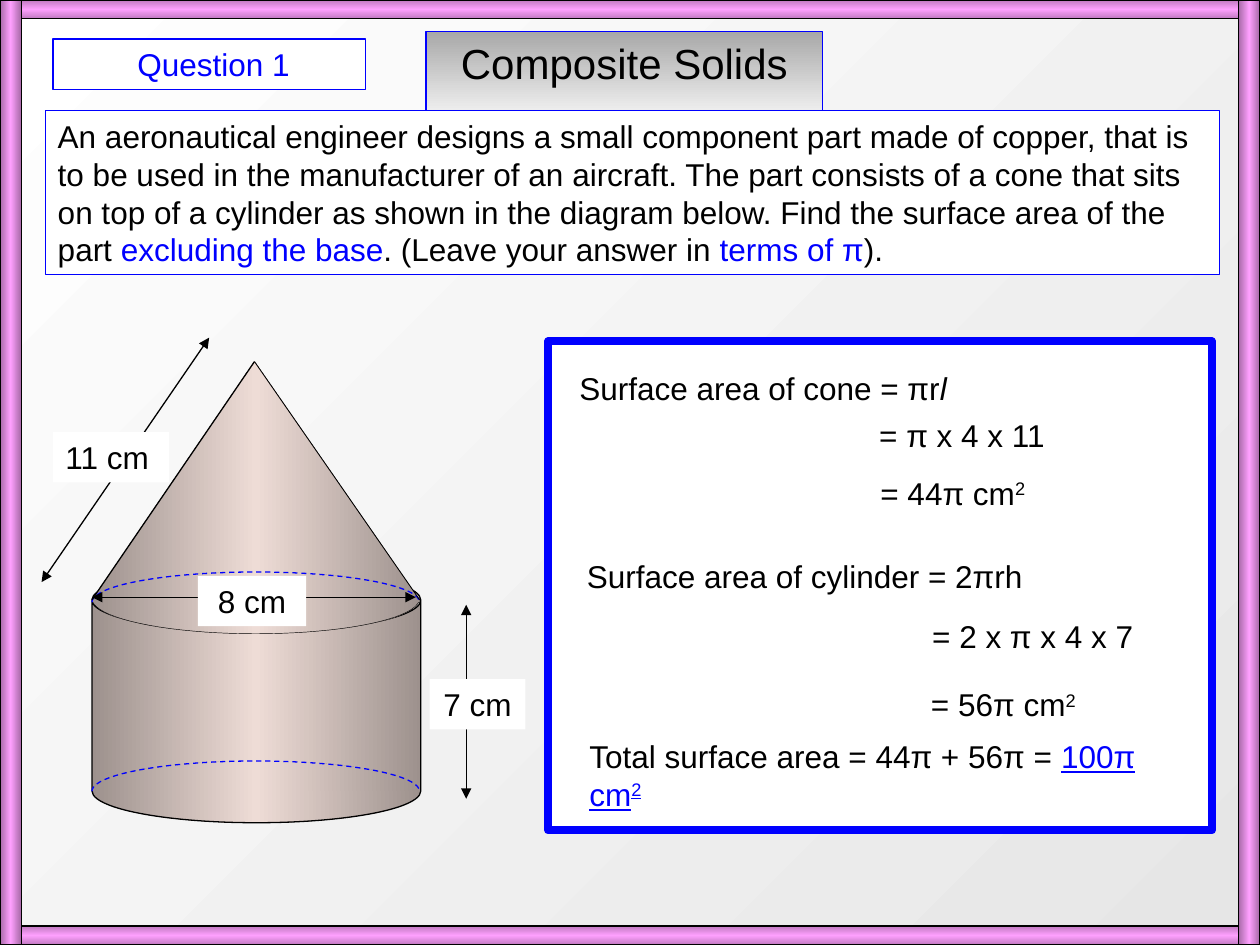
from dataclasses import dataclass
from math import cos, pi, sin
from typing import Optional

from lxml import etree
from pptx import Presentation
from pptx.dml.color import RGBColor
from pptx.enum import dml, shapes, text
from pptx.oxml.ns import qn
from pptx.util import Inches, Pt


@dataclass(frozen=True)
class Theme:
    font: str = "Arial"
    title_size: float = 24
    body_size: float = 18
    black: str = "000000"
    white: str = "FFFFFF"
    blue: str = "0000FF"
    silver: tuple = ("A8A8A8", "FFFFFF", "A8A8A8")
    copper: tuple = ("9D918D", "EEDCD6", "9D918D")
    rail: tuple = ("C079C0", "FEA0FE", "C079C0")
    post: tuple = ("A769A7", "FEA0FE", "A769A7")
    backdrop: tuple = ("E6E6E6", "FFFFFF")


THEME = Theme()


@dataclass(frozen=True)
class Words:
    content: str
    color: str = THEME.black
    italic: bool = False
    underline: bool = False
    raised: bool = False


@dataclass(frozen=True)
class Box:
    left: float
    top: float
    width: float
    height: float = 0.4
    words: tuple = ()
    fill: Optional[str] = None
    line: Optional[str] = None
    weight: float = 0.75
    centred: bool = False


@dataclass(frozen=True)
class Bar:
    left: float
    top: float
    width: float
    height: float
    colors: tuple
    angle: int


@dataclass(frozen=True)
class Dimension:
    start: tuple
    end: tuple
    label: Box


def set_gradient(fill, element, colors: tuple, angle: int) -> None:
    fill.gradient()
    fill.gradient_angle = (360 - angle) % 360
    stops = next(element.iter(qn("a:gsLst")))
    for stop in list(stops):
        stops.remove(stop)
    for index, color in enumerate(colors):
        position = str(100000 * index // (len(colors) - 1))
        stop = etree.SubElement(stops, qn("a:gs"), pos=position)
        etree.SubElement(stop, qn("a:srgbClr"), val=color)


def set_line(line, color: Optional[str], weight: float = 0.75) -> None:
    if color is None:
        line.fill.background()
    else:
        line.color.rgb = RGBColor.from_string(color)
        line.width = Pt(weight)


def write(shape, words: tuple, size: float, centred: bool) -> None:
    frame = shape.text_frame
    frame.word_wrap = True
    frame.auto_size = text.MSO_AUTO_SIZE.SHAPE_TO_FIT_TEXT
    frame.vertical_anchor = text.MSO_ANCHOR.TOP
    frame.margin_left = frame.margin_right = Inches(0.1)
    frame.margin_top = frame.margin_bottom = Inches(0.05)
    paragraph = frame.paragraphs[0]
    paragraph.alignment = text.PP_ALIGN.CENTER if centred else text.PP_ALIGN.LEFT
    for part in words:
        run = paragraph.add_run()
        run.text = part.content
        run.font.name = THEME.font
        run.font.size = Pt(size)
        run.font.color.rgb = RGBColor.from_string(part.color)
        if part.italic:
            run.font.italic = True
        if part.underline:
            run.font.underline = True
        if part.raised:
            run.font._element.set("baseline", "30000")


def draw_box(slide, box: Box) -> None:
    place = [Inches(n) for n in (box.left, box.top, box.width, box.height)]
    if box.fill is None:
        shape = slide.shapes.add_textbox(*place)
    else:
        shape = slide.shapes.add_shape(shapes.MSO_SHAPE.RECTANGLE, *place)
        shape.shadow.inherit = False
        shape.fill.solid()
        shape.fill.fore_color.rgb = RGBColor.from_string(box.fill)
        set_line(shape.line, box.line, box.weight)
    if box.words:
        write(shape, box.words, THEME.body_size, box.centred)


def draw_bar(slide, bar: Bar) -> None:
    place = [Inches(n) for n in (bar.left, bar.top, bar.width, bar.height)]
    shape = slide.shapes.add_shape(shapes.MSO_SHAPE.RECTANGLE, *place)
    shape.shadow.inherit = False
    set_gradient(shape.fill, shape.element, bar.colors, bar.angle)
    set_line(shape.line, THEME.black)


def draw_line(parent, start: tuple, end: tuple, weight: float = 0.75, arrows: bool = False) -> None:
    ends = [Inches(n) for n in (*start, *end)]
    connector = parent.shapes.add_connector(shapes.MSO_CONNECTOR.STRAIGHT, *ends)
    set_line(connector.line, THEME.black, weight)
    properties = connector.element.spPr
    if arrows:
        outline = properties.find(qn("a:ln"))
        for tag in ("a:headEnd", "a:tailEnd"):
            etree.SubElement(outline, qn(tag), type="triangle")
    etree.SubElement(properties, qn("a:effectLst"))


def draw_outline(group, points: list, closed: bool, color: Optional[str] = None,
                 weight: float = 0.75, dashed: bool = False) -> None:
    corners = [(Inches(x), Inches(y)) for x, y in points]
    builder = group.shapes.build_freeform(*corners[0])
    builder.add_line_segments(corners[1:], close=closed)
    shape = builder.convert_to_shape()
    shape.shadow.inherit = False
    set_gradient(shape.fill, shape.element, THEME.copper, 180)
    set_line(shape.line, color, weight)
    if dashed:
        shape.line.dash_style = dml.MSO_LINE.DASH


def half_ellipse(center_y: float, depth: float) -> list:
    steps = 40
    return [(2.03 - 1.3 * cos(pi * n / steps), center_y + depth * sin(pi * n / steps))
            for n in range(steps + 1)]


def draw_solid(slide) -> None:
    group = slide.shapes.add_group_shape()
    place = [Inches(n) for n in (0.73, 4.51, 2.61, 2.02)]
    cylinder = group.shapes.add_shape(shapes.MSO_SHAPE.CAN, *place)
    cylinder.adjustments[0] = 0.25
    cylinder.shadow.inherit = False
    set_gradient(cylinder.fill, cylinder.element, THEME.copper, 180)
    set_line(cylinder.line, THEME.black)
    left, right, apex = (0.73, 4.76), (3.33, 4.76), (2.02, 2.87)
    draw_outline(group, [left, right, apex], True)
    draw_outline(group, half_ellipse(4.75, 0.28), False, THEME.black, 0.25)
    draw_outline(group, half_ellipse(4.78, -0.24), False, THEME.blue, dashed=True)
    draw_line(group, left, apex)
    draw_line(group, apex, right, 0.5)
    draw_outline(group, half_ellipse(6.28, -0.24), False, THEME.blue, dashed=True)


def label(left: float, top: float, width: float, content: str, centred: bool = True) -> Box:
    return Box(left, top, width, words=(Words(content),), fill=THEME.white, centred=centred)


PANEL = Box(4.35, 2.71, 5.27, 3.88, fill=THEME.white, line=THEME.blue, weight=4.5)
BARS = (
    *(Bar(0, top, 10, 0.15, THEME.rail, 90) for top in (0, 7.35)),
    *(Bar(left, 0, 0.17, 7.5, THEME.post, 180) for left in (0, 9.83)),
)
QUESTION = Box(0.36, 0.88, 9.32, 1.3, (
    Words("An aeronautical engineer designs a small component part made of copper, that is "
          "to be used in the manufacturer of an aircraft. The part consists of a cone that sits "
          "on top of a cylinder as shown in the diagram below. Find the surface area of the part "),
    Words("excluding the base", THEME.blue),
    Words(". (Leave your answer in "),
    Words("terms of π", THEME.blue),
    Words(")."),
), THEME.white, THEME.blue)
NUMBER = Box(0.42, 0.31, 2.48, words=(Words(" Question 1", THEME.blue),),
             fill=THEME.white, line=THEME.blue, centred=True)
DIMENSIONS = (
    Dimension((0.33, 4.62), (1.66, 2.68), label(0.42, 3.43, 0.92, "11 cm", False)),
    Dimension((0.73, 4.74), (3.3, 4.74), label(1.57, 4.57, 0.86, "8 cm")),
    Dimension((3.7, 4.8), (3.7, 6.34), label(3.41, 5.39, 0.76, "7 cm")),
)
SQUARED = Words("2", raised=True)
WORKING = (
    Box(4.5, 2.88, 4.42, words=(Words("Surface area of cone = πr"), Words("l", italic=True))),
    Box(6.81, 3.25, 2.15, words=(Words(" = π x 4 x 11"),)),
    Box(6.82, 3.71, 1.86, words=(Words(" = 44π cm"), SQUARED)),
    Box(4.49, 4.37, 4.61, words=(Words(" Surface area of cylinder = 2πrh"),)),
    Box(7.3, 4.85, 2, words=(Words("= 2 x π x 4 x 7"),)),
    Box(7.29, 5.39, 1.58, words=(Words("= 56π cm"), SQUARED)),
    Box(4.58, 5.8, 4.99, words=(
        Words("Total surface area = 44π + 56π = "),
        Words("100π cm", THEME.blue, underline=True),
        Words("2", THEME.blue, underline=True, raised=True))),
)


def main() -> None:
    presentation = Presentation()
    presentation.slide_width, presentation.slide_height = Inches(10), Inches(7.5)
    slide = presentation.slides.add_slide(presentation.slide_layouts[5])
    set_gradient(slide.background.fill, slide.element, THEME.backdrop, 225)
    title = slide.shapes.title
    title.left, title.top = Inches(3.38), Inches(0.25)
    title.width, title.height = Inches(3.15), Inches(0.5)
    set_gradient(title.fill, title.element, THEME.silver, 90)
    set_line(title.line, THEME.blue)
    write(title, (Words("Composite Solids"),), THEME.title_size, True)
    draw_box(slide, PANEL)
    draw_solid(slide)
    for bar in BARS:
        draw_bar(slide, bar)
    for dimension in DIMENSIONS:
        draw_line(slide, dimension.start, dimension.end, arrows=True)
        draw_box(slide, dimension.label)
    for box in (QUESTION, *WORKING, NUMBER):
        draw_box(slide, box)
    presentation.save("out.pptx")


if __name__ == "__main__":
    main()
